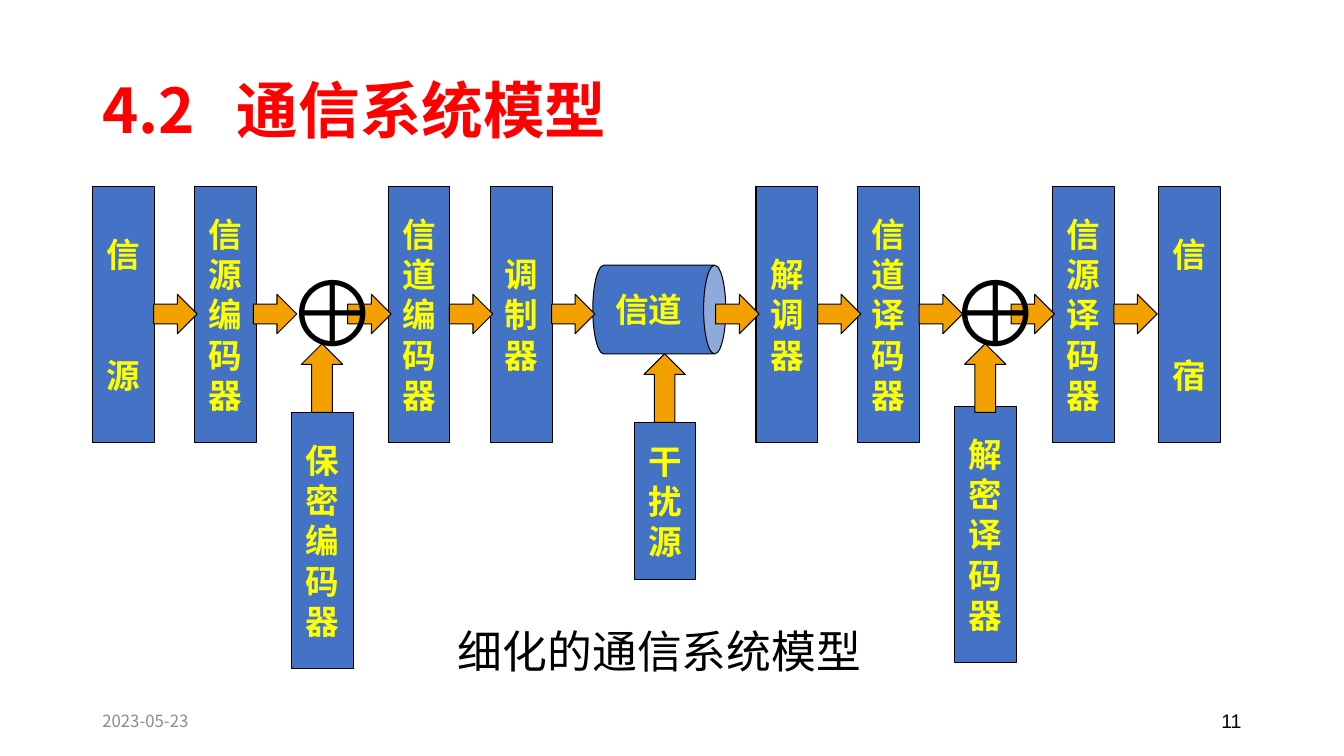
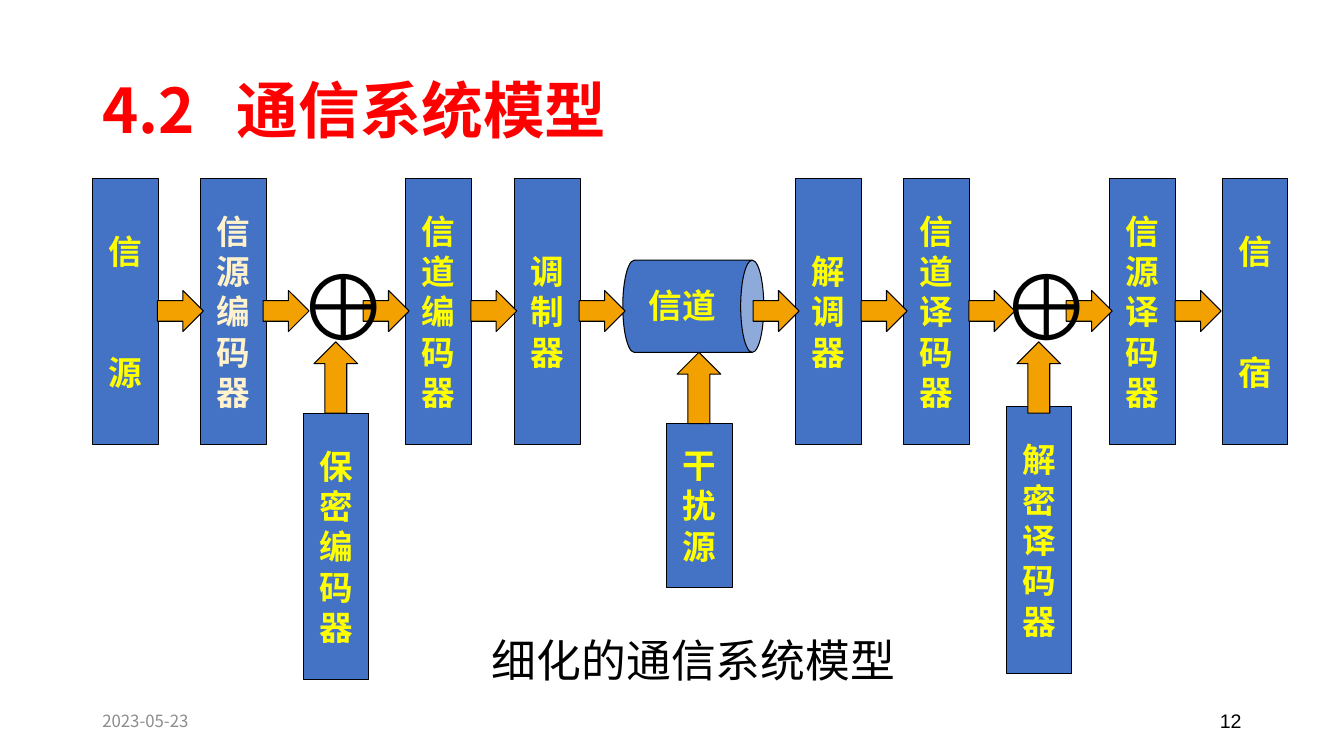
from dataclasses import dataclass
from typing import Any

from lxml import etree
from pptx import Presentation
from pptx import util as u
from pptx.dml.color import RGBColor
from pptx.enum import shapes, text
from pptx.oxml.ns import qn

# Shared look
RED, BLACK, GREY = "FF0000", "000000", "8C8C8C"
BLUE, GOLD, YELLOW, CREAM = "4472C4", "F2A100", "FFFF00", "FFF2CC"
SANS, SLIM, PLAIN = "Noto Sans CJK SC", "Arial Narrow", "Arial"
LEFT, MID, RIGHT = text.PP_ALIGN.LEFT, text.PP_ALIGN.CENTER, text.PP_ALIGN.RIGHT
KIND = shapes.MSO_SHAPE
WIDE, TALL = 44.2, 183.0
ROW_X, ROW_Y = 66.2, 133.2
LINE = 28.8


@dataclass(frozen=True)
class Rect:
    x: float
    y: float
    w: float
    h: float


@dataclass(frozen=True)
class Block:
    label: str
    x: float
    y: float = ROW_Y
    h: float = TALL
    gap: float = 0


@dataclass(frozen=True)
class Page:
    num: int
    top: float
    kx: float
    ky: float
    mark: str = ""

    def fit(self, r: Rect) -> Rect:
        """Scale the diagram about the corner of its first block."""
        return Rect(ROW_X + (r.x - ROW_X) * self.kx, self.top + (r.y - ROW_Y) * self.ky,
                    r.w * self.kx, r.h * self.ky)


BLOCKS = [
    Block("信源", ROW_X, gap=2 * LINE),
    Block("信源编码器", 139),
    Block("信道编码器", 277.2),
    Block("调制器", 350.6),
    Block("解调器", 540),
    Block("信道译码器", 612.7),
    Block("信源译码器", 751.7),
    Block("信宿", 827.3, gap=2 * LINE),
    Block("保密编码器", 208.2, 294.5),
    Block("解密译码器", 681.8, 290.2),
    Block("干扰源", 452.9, 301.7, 112.3),
]
FLOWS = [109.8, 181, 248.4, 321, 394, 511.2, 584, 656.6, 722.2, 795.6]
RISES = [(215.3, 245.5), (689, 245.5), (460, 252.7)]
SUMS = [197.3, 671]
PAGES = [Page(11, ROW_Y, 1, 1), Page(12, 127.4, 1.06, 1.04, "信源编码器")]


def color(code: str) -> RGBColor:
    return RGBColor.from_string(code)


def write(frame: Any, words: str, *, size: float, font: str, ink: str, bold: bool = False,
          align: Any = MID, anchor: Any = text.MSO_ANCHOR.TOP, wrap: bool = True,
          gap: float = 0, lead: float | None = None, tab: float = 0) -> None:
    """Write one paragraph per line of words, all in one format."""
    frame.word_wrap = wrap
    frame.vertical_anchor = anchor
    for i, line in enumerate(words.split("\n")):
        para = frame.add_paragraph() if i else frame.paragraphs[0]
        para.alignment = align
        if lead:
            para.line_spacing = lead
        if i and gap:
            para.space_before = u.Pt(gap)
        if tab:
            stops = etree.SubElement(para._p.get_or_add_pPr(), qn("a:tabLst"))
            etree.SubElement(stops, qn("a:tab"), pos=str(u.Pt(tab)), algn="l")
        run = para.add_run()
        run.text = line
        run.font.size, run.font.bold, run.font.name = u.Pt(size), bold, font
        run.font.color.rgb = color(ink)
        etree.SubElement(run._r.get_or_add_rPr(), qn("a:ea"), typeface=font)


def place(item: Any, r: Rect) -> None:
    item.left, item.top = u.Pt(r.x), u.Pt(r.y)
    item.width, item.height = u.Pt(r.w), u.Pt(r.h)


def draw(slide: Any, kind: Any, r: Rect, fill: str) -> Any:
    item = slide.shapes.add_shape(kind, u.Pt(r.x), u.Pt(r.y), u.Pt(r.w), u.Pt(r.h))
    item.shadow.inherit = False
    item.fill.solid()
    item.fill.fore_color.rgb = color(fill)
    item.line.color.rgb = color(BLACK)
    item.line.width = u.Pt(0.75)
    return item


def note(slide: Any, r: Rect, words: str, **style: Any) -> None:
    box = slide.shapes.add_textbox(u.Pt(r.x), u.Pt(r.y), u.Pt(r.w), u.Pt(r.h))
    write(box.text_frame, words, **style)


def frame_page(slide: Any, page: Page) -> None:
    """Title, date and page number."""
    mid = text.MSO_ANCHOR.MIDDLE
    title = slide.shapes.title
    place(title, Rect(66, 28.8, 828, 104.4))
    write(title.text_frame, "4.2\t通信系统模型", size=44, font=SANS, ink=RED, bold=True,
          align=LEFT, anchor=mid, lead=0.9, tab=96)
    note(slide, Rect(66, 500.5, 216, 28.8), "2023-05-23", size=12, font=SANS, ink=GREY,
         align=LEFT, anchor=mid)
    note(slide, Rect(678, 500.5, 216, 28.8), str(page.num), size=14, font=PLAIN, ink=BLACK,
         align=RIGHT, anchor=mid)


def diagram(slide: Any, page: Page) -> None:
    # Blocks with upright labels
    for b in BLOCKS:
        item = draw(slide, KIND.RECTANGLE, page.fit(Rect(b.x, b.y, WIDE, b.h)), BLUE)
        write(item.text_frame, "\n".join(b.label), size=24, font=SLIM, bold=True,
              ink=CREAM if b.label == page.mark else YELLOW,
              anchor=text.MSO_ANCHOR.MIDDLE, wrap=False, gap=b.gap)

    # Channel: a can turned on its side
    r = page.fit(Rect(423.4, 189.4, 95, 63.4))
    turn = (r.w - r.h) / 2
    can = draw(slide, KIND.CAN, Rect(r.x + turn, r.y - turn, r.h, r.w), BLUE)
    can.rotation = 90
    note(slide, page.fit(Rect(423.4, 203, 80, 36.7)), "信道", size=24, font=SLIM,
         ink=YELLOW, bold=True)

    # Arrows
    for x in FLOWS:
        draw(slide, KIND.RIGHT_ARROW, page.fit(Rect(x, 210.2, 31, 28.2)), GOLD)
    for x, y in RISES:
        draw(slide, KIND.UP_ARROW, page.fit(Rect(x, y, 29.5, 49)), GOLD)

    # Sum signs and caption
    for x in SUMS:
        note(slide, page.fit(Rect(x, 177.8, 64.8, 87.1)), "⊕", size=66, font=SLIM, ink=BLACK)
    note(slide, page.fit(Rect(285.1, 442.1, 372.2, 46)), "细化的通信系统模型", size=32,
         font=SANS, ink=BLACK)


def main() -> None:
    deck = Presentation()
    deck.slide_width, deck.slide_height = u.Pt(960), u.Pt(540)
    for page in PAGES:
        slide = deck.slides.add_slide(deck.slide_layouts[5])
        frame_page(slide, page)
        diagram(slide, page)
    deck.save("out.pptx")


if __name__ == "__main__":
    main()
